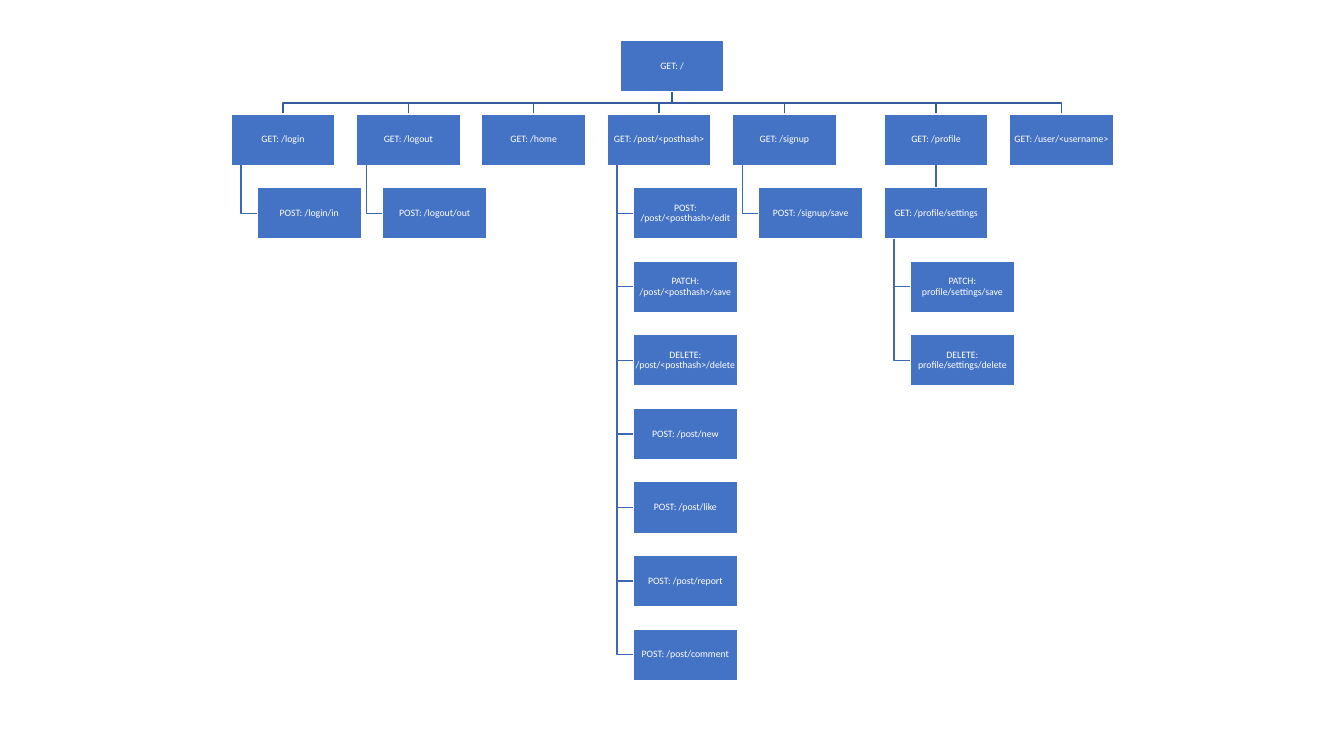
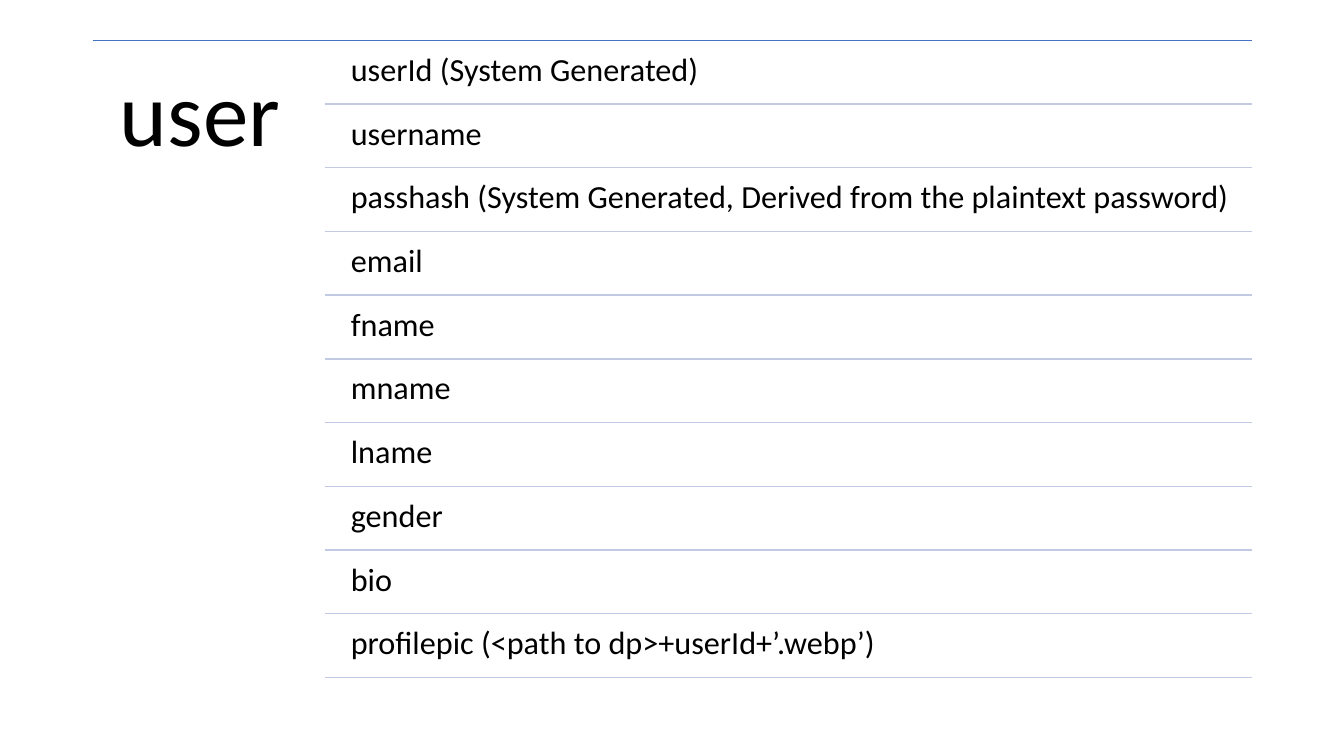
from dataclasses import dataclass

from lxml.etree import SubElement
from pptx import Presentation
from pptx.dml.color import RGBColor
from pptx.enum.shapes import MSO_CONNECTOR, MSO_SHAPE
from pptx.enum.text import MSO_ANCHOR, PP_ALIGN
from pptx.oxml.ns import qn
from pptx.util import Inches, Pt


@dataclass(frozen=True)
class Theme:
    font: str = "Calibri"
    accent: str = "4472C4"
    trunk: str = "365B9D"
    twig: str = "3E67B2"
    divider: str = "C1C9E4"
    light: str = "FFFFFF"
    dark: str = "000000"
    node_size: int = 7
    field_size: int = 23
    heading_size: int = 65
    line_width: int = 1
    line_spacing: float = 0.9


@dataclass(frozen=True)
class Grid:
    left: float
    top: float
    column: float
    row: float

    def point(self, column, row):
        return Inches(self.left + column * self.column), Inches(self.top + row * self.row)

    def size(self, columns, rows):
        return Inches(columns * self.column), Inches(rows * self.row)


NODE_WIDTH = 0.83
NODE_HEIGHT = 0.7
INDENT = 0.21
SPINE = 0.08
BUS_ROW = 0.85


class Deck:
    def __init__(self, theme):
        self.theme = theme
        self.presentation = Presentation()
        self.presentation.slide_width = Inches(13.33)
        self.presentation.slide_height = Inches(7.5)

    def new_slide(self, grid):
        self.grid = grid
        self.slide = self.presentation.slides.add_slide(self.presentation.slide_layouts[6])

    def style_line(self, line, color):
        line.color.rgb = RGBColor.from_string(color)
        line.width = Pt(self.theme.line_width)

    def style_text(self, shape, text, size, color, inset, alignment, anchor):
        frame = shape.text_frame
        frame.word_wrap = True
        frame.vertical_anchor = anchor
        frame.margin_left = frame.margin_right = Inches(inset)
        frame.margin_top = frame.margin_bottom = Inches(inset)
        frame.text = text
        paragraph = frame.paragraphs[0]
        paragraph.alignment = alignment
        paragraph.line_spacing = self.theme.line_spacing
        paragraph.font.name = self.theme.font
        paragraph.font.size = Pt(size)
        paragraph.font.color.rgb = RGBColor.from_string(color)

    def node(self, text, column, row):
        shape = self.slide.shapes.add_shape(
            MSO_SHAPE.RECTANGLE,
            *self.grid.point(column, row),
            *self.grid.size(NODE_WIDTH, NODE_HEIGHT),
        )
        shape.shadow.inherit = False
        shape.fill.solid()
        shape.fill.fore_color.rgb = RGBColor.from_string(self.theme.accent)
        self.style_line(shape.line, self.theme.light)
        self.style_text(shape, text, self.theme.node_size, self.theme.light, 0,
                        PP_ALIGN.CENTER, MSO_ANCHOR.MIDDLE)

    def text(self, text, column, row, columns, rows, size, inset):
        shape = self.slide.shapes.add_textbox(
            *self.grid.point(column, row), *self.grid.size(columns, rows))
        self.style_text(shape, text, size, self.theme.dark, inset,
                        PP_ALIGN.LEFT, MSO_ANCHOR.TOP)

    def line(self, start, end, color):
        connector = self.slide.shapes.add_connector(
            MSO_CONNECTOR.STRAIGHT, *self.grid.point(*start), *self.grid.point(*end))
        self.style_line(connector.line, color)
        SubElement(connector._element.spPr, qn("a:effectLst"))

    def elbow(self, corners, color):
        start, *others = [self.grid.point(*corner) for corner in corners]
        builder = self.slide.shapes.build_freeform(*start)
        builder.add_line_segments(others, close=False)
        shape = builder.convert_to_shape()
        shape.shadow.inherit = False
        shape.fill.background()
        self.style_line(shape.line, color)

    def hanging_nodes(self, labels, column, parent_row):
        spine = column + SPINE
        for row, label in enumerate(labels, parent_row + 1):
            middle = row + NODE_HEIGHT / 2
            self.elbow([(spine, parent_row + NODE_HEIGHT), (spine, middle),
                        (column + INDENT, middle)], self.theme.twig)
            self.node(label, column + INDENT, row)

    def save(self):
        self.presentation.save("out.pptx")


PROFILE_COLUMN = 5 + INDENT

ROUTES = [
    ("GET: /login", 0, ["POST: /login/in"]),
    ("GET: /logout", 1, ["POST: /logout/out"]),
    ("GET: /home", 2, []),
    ("GET: /post/<posthash>", 3, [
        "POST: /post/<posthash>/edit",
        "PATCH: /post/<posthash>/save",
        "DELETE: /post/<posthash>/delete",
        "POST: /post/new",
        "POST: /post/like",
        "POST: /post/report",
        "POST: /post/comment",
    ]),
    ("GET: /signup", 4, ["POST: /signup/save"]),
    ("GET: /profile", PROFILE_COLUMN, []),
    ("GET: /user/<username>", PROFILE_COLUMN + 1, []),
]
SETTINGS_ACTIONS = ["PATCH: profile/settings/save", "DELETE: profile/settings/delete"]

USER_FIELDS = [
    "userId (System Generated)",
    "username",
    "passhash (System Generated, Derived from the plaintext password)",
    "email",
    "fname",
    "mname",
    "lname",
    "gender",
    "bio",
    "profilepic (<path to dp>+userId+’.webp’)",
]


def build_route_tree(deck):
    deck.new_slide(Grid(left=2.29, top=0.4, column=7.46 / 6, row=0.73))
    root_column = (ROUTES[0][1] + ROUTES[-1][1]) / 2
    half = NODE_WIDTH / 2
    root_middle = root_column + half
    for label, column, actions in ROUTES:
        middle = column + half
        deck.elbow([(root_middle, NODE_HEIGHT), (root_middle, BUS_ROW),
                    (middle, BUS_ROW), (middle, 1)], deck.theme.trunk)
        deck.node(label, column, 1)
        deck.hanging_nodes(actions, column, 1)
    deck.node("GET: /", root_column, 0)
    profile_middle = PROFILE_COLUMN + half
    deck.line((profile_middle, 1 + NODE_HEIGHT), (profile_middle, 2), deck.theme.twig)
    deck.node("GET: /profile/settings", PROFILE_COLUMN, 2)
    deck.hanging_nodes(SETTINGS_ACTIONS, PROFILE_COLUMN, 2)


def build_user_fields(deck):
    theme = deck.theme
    row_count = len(USER_FIELDS)
    deck.new_slide(Grid(left=0.92, top=0.4, column=11.5 / 5, row=6.32 / row_count))
    deck.line((0, 0), (5, 0), theme.accent)
    deck.text("user", 0, 0, 1, row_count, theme.heading_size, inset=0.27)
    for row, field in enumerate(USER_FIELDS):
        deck.text(field, 1.07, row + 0.05, 3.93, 0.95, theme.field_size, inset=0.1)
        deck.line((1, row + 1), (5, row + 1), theme.divider)


deck = Deck(Theme())
build_route_tree(deck)
build_user_fields(deck)
deck.save()
